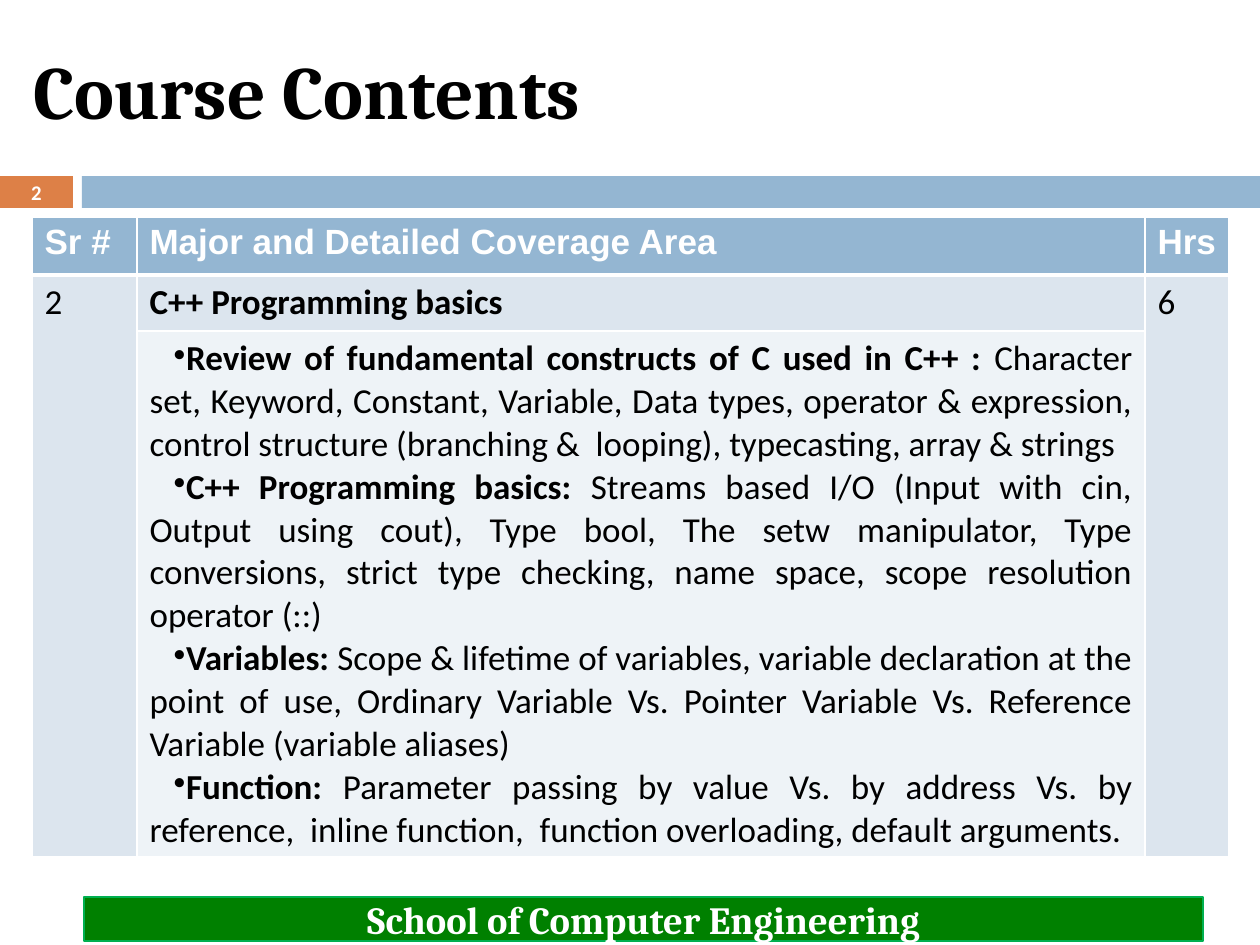
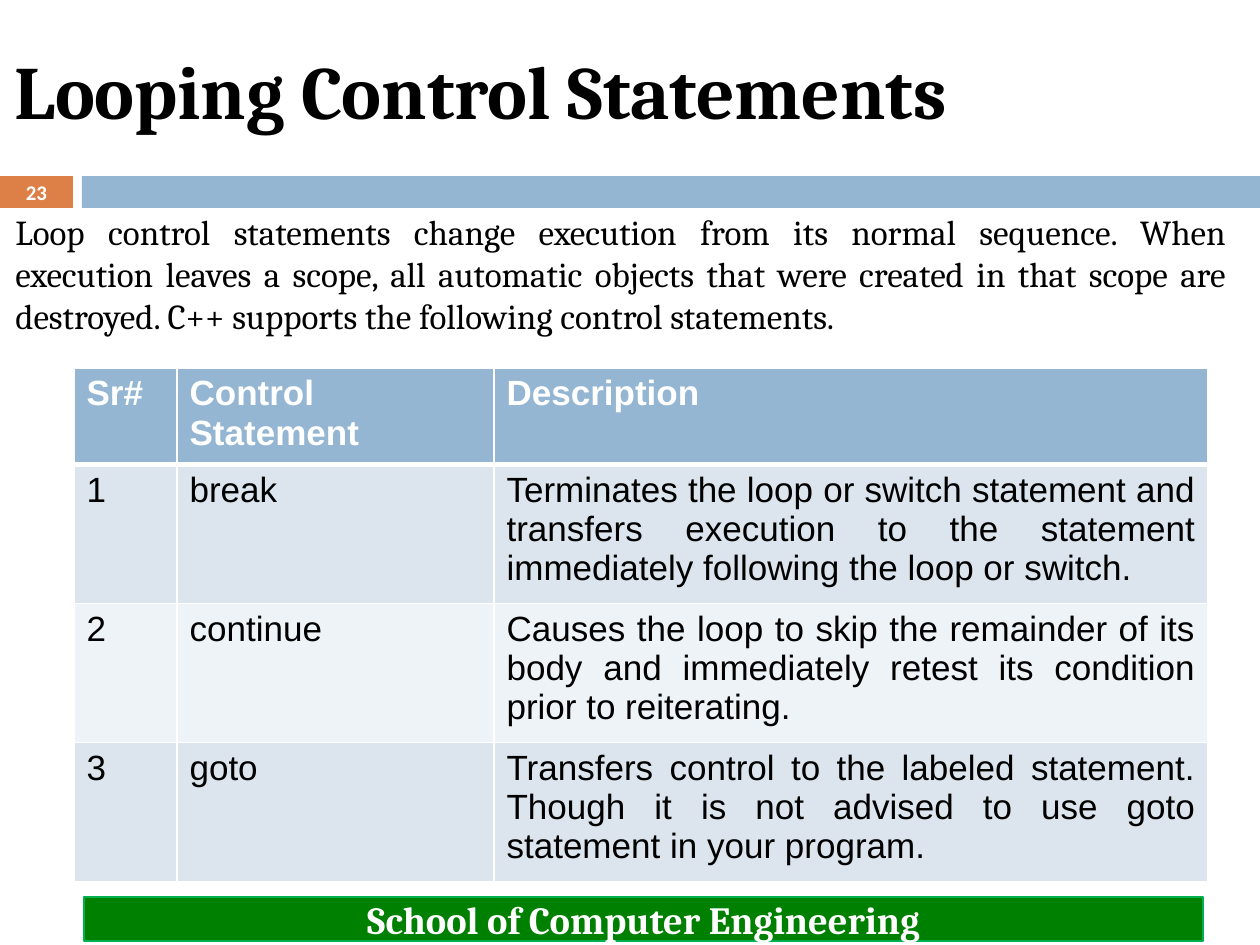
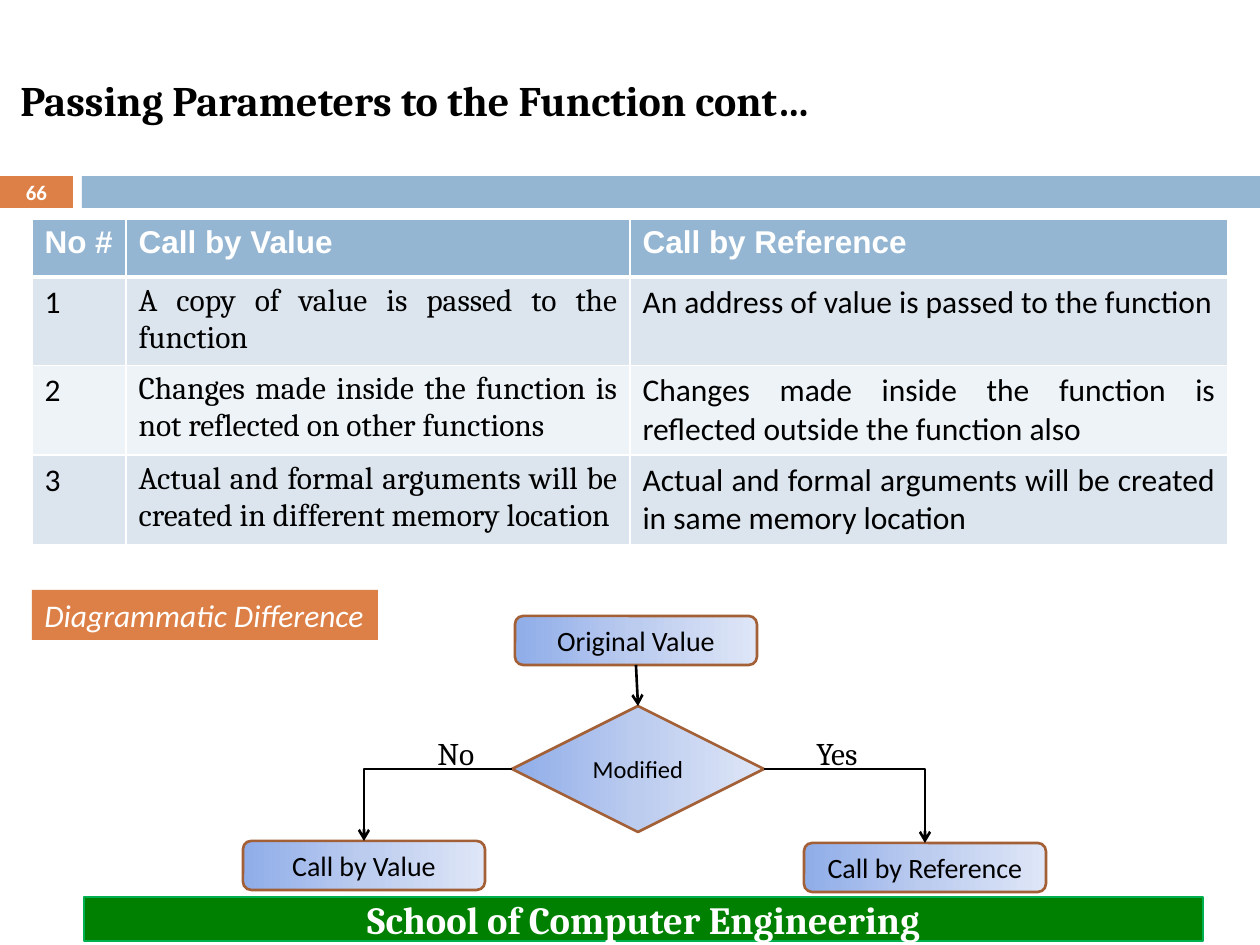
from lxml.etree import SubElement
from pptx import Presentation
from pptx.dml.color import RGBColor
from pptx.enum.shapes import MSO_CONNECTOR, MSO_SHAPE
from pptx.enum.text import MSO_ANCHOR, MSO_AUTO_SIZE, PP_ALIGN
from pptx.oxml.ns import qn
from pptx.util import Emu, Pt

SCALE = 914400 / 126
WIDE, HIGH = 1260, 945
HEX = {
    "black": "000000", "white": "FFFFFF", "blue": "94B6D2",
    "orange": "DD8047", "green": "008000", "edge": "00B050",
    "odd": "DCE5EE", "even": "EEF3F7", "brown": "A35F35",
}
GRADE = [(0, "8FADE9"), (50, "BCCCEF"), (100, "DEE6F7")]
SERIF, SANS, HEAD = "Cambria", "Calibri", "Arial"
LEFT, MID, JUST = PP_ALIGN.LEFT, PP_ALIGN.CENTER, PP_ALIGN.JUSTIFY

TOPICS = [
    ("Review of fundamental constructs of C used in C++ : ",
     "Character set, Keyword, Constant, Variable, Data types, operator & "
     "expression, control structure (branching &  looping), typecasting, "
     "array & strings"),
    ("C++ Programming basics: ",
     "Streams based I/O (Input with cin, Output using cout), Type bool, "
     "The setw manipulator, Type conversions, strict type checking, "
     "name space, scope resolution operator (::)"),
    ("Variables: ",
     "Scope & lifetime of variables, variable declaration at the point of "
     "use, Ordinary Variable Vs. Pointer Variable Vs. Reference Variable "
     "(variable aliases)"),
    ("Function: ",
     "Parameter passing by value Vs. by address Vs. by reference,  inline "
     "function,  function overloading, default arguments. "),
]
LOOPS = [
    ("Sr#", "Control Statement", "Description"),
    ("1", "break", "Terminates the loop or switch statement and transfers "
     "execution to the statement immediately following the loop or switch."),
    ("2", "continue", "Causes the loop to skip the remainder of its body and "
     "immediately retest its condition prior to reiterating."),
    ("3", "goto", "Transfers control to the labeled statement. Though it is "
     "not advised to use goto statement in your program."),
]
CALLS = [
    ("No #", "Call by Value", "Call by Reference"),
    ("1", "A copy of value is passed to the function",
     "An address of value is passed to the function"),
    ("2", "Changes made inside the function is not reflected on other functions",
     "Changes made inside the function is reflected outside the function also"),
    ("3", "Actual and formal arguments will be created in different memory location",
     "Actual and formal arguments will be created in same memory location"),
]


def px(num):
    return Emu(round(num * SCALE))


def rgb(name):
    return RGBColor.from_string(HEX[name])


def put(para, text, size, face, color="black", bold=False, slant=False):
    run = para.add_run()
    run.text = text
    font = run.font
    font.size, font.name = Pt(size), face
    font.bold, font.italic = bold, slant
    font.color.rgb = rgb(color)


def label(shape, text, size, face, color="black", bold=False, slant=False,
          align=LEFT, anchor=MSO_ANCHOR.MIDDLE, wrap=True):
    frame = shape.text_frame
    frame.word_wrap = wrap
    frame.vertical_anchor = anchor
    para = frame.paragraphs[0]
    para.alignment = align
    put(para, text, size, face, color, bold, slant)
    return frame


def note(slide, box, text, size, face, **style):
    shape = slide.shapes.add_textbox(*map(px, box))
    return label(shape, text, size, face, **style)


def block(slide, box, fill=None, line=None, width=0.75, kind=MSO_SHAPE.RECTANGLE):
    shape = slide.shapes.add_shape(kind, *map(px, box))
    shape.shadow.inherit = False
    if fill:
        shape.fill.solid()
        shape.fill.fore_color.rgb = rgb(fill)
    if line:
        shape.line.color.rgb = rgb(line)
        shape.line.width = Pt(width)
    else:
        shape.line.fill.background()
    return shape


# Bands, title, slide number and footer shared by all slides
def base(deck, number, title, box, size=43):
    slide = deck.slides.add_slide(deck.slide_layouts[6])
    block(slide, (0, 176, 73, 32), "orange")
    block(slide, (82, 176, WIDE - 82, 32), "blue")
    note(slide, box, title, size, SERIF, bold=True)
    note(slide, (0, 175, 73, 34), number, 11.9, SANS,
         color="white", bold=True, align=MID)
    foot = block(slide, (84, 897, 1119, 44), "green", "edge")
    label(foot, "School of Computer Engineering", 22, SERIF,
          color="white", bold=True, align=MID)
    return slide


def edge(cell, row):
    props = cell._tc.get_or_add_tcPr()
    heavy = {0: "lnB", 1: "lnT"}.get(row)
    for side in ("lnL", "lnR", "lnT", "lnB"):
        width = Pt(3 if side == heavy else 1)
        line = SubElement(props, qn("a:" + side), w=str(width))
        fill = SubElement(line, qn("a:solidFill"))
        SubElement(fill, qn("a:srgbClr"), val=HEX["white"])


# Banded table: a face and an alignment for each body column
def grid(slide, spot, cols, rows, data, size, faces, aligns):
    box = (*spot, sum(cols), sum(rows))
    table = slide.shapes.add_table(len(rows), len(cols), *map(px, box)).table
    table.first_row = table.horz_banding = False
    for col, width in zip(table.columns, cols):
        col.width = px(width)
    for row, height in zip(table.rows, rows):
        row.height = px(height)
    for i, texts in enumerate(data):
        for j, text in enumerate(texts):
            cell = table.cell(i, j)
            edge(cell, i)
            cell.fill.solid()
            tone = "blue" if i == 0 else "odd" if i % 2 else "even"
            cell.fill.fore_color.rgb = rgb(tone)
            para = cell.text_frame.paragraphs[0]
            if i == 0:
                put(para, text, size, HEAD, "white", True)
            elif text:
                para.alignment = aligns[j]
                put(para, text, size, faces[j])
    return table


# Bulleted topics inside one cell
def topics(cell, items):
    frame = cell.text_frame
    for i, (head, body) in enumerate(items):
        para = frame.add_paragraph() if i else frame.paragraphs[0]
        props = para._p.get_or_add_pPr()
        props.set("marL", "0")
        props.set("indent", str(px(24)))
        SubElement(props, qn("a:buChar"), char="•")
        para.alignment = JUST
        put(para, head, 20, SANS, bold=True)
        put(para, body, 20, SANS)


def node(slide, box, text, size=16, kind=MSO_SHAPE.ROUNDED_RECTANGLE):
    shape = block(slide, box, line="brown", width=1.5, kind=kind)
    shape.fill.gradient()
    shape.fill.gradient_angle = 0
    stops = shape.element.spPr.find(".//" + qn("a:gsLst"))
    stops.clear()
    for place, color in GRADE:
        stop = SubElement(stops, qn("a:gs"), pos=str(place * 1000))
        SubElement(stop, qn("a:srgbClr"), val=color)
    label(shape, text, size, SANS, align=MID)
    return shape


def link(slide, start, out, end, bent=True):
    kind = MSO_CONNECTOR.ELBOW if bent else MSO_CONNECTOR.STRAIGHT
    line = slide.shapes.add_connector(kind, 0, 0, 0, 0)
    line.begin_connect(start, out)
    line.end_connect(end, 0)
    line.line.color.rgb = rgb("black")
    line.line.width = Pt(1.5)
    props = line.element.spPr
    if bent:
        props.find(qn("a:prstGeom")).set("prst", "bentConnector2")
    SubElement(props.find(qn("a:ln")), qn("a:tailEnd"), type="arrow")
    SubElement(props, qn("a:effectLst"))


# Decision diagram, placed from its top left corner
def flow(slide, left, top):
    wide, high = 242, 49
    first = node(slide, (left + 272, top, wide, high), "Original Value")
    test = node(slide, (left + 269, top + 90, 252, 126), "Modified", 14,
                MSO_SHAPE.DIAMOND)
    ref = node(slide, (left + 561, top + 227, wide, high), "Call by Reference")
    value = node(slide, (left, top + 225, wide, high), "Call by Value")
    link(slide, first, 2, test, bent=False)
    link(slide, test, 3, ref)
    link(slide, test, 1, value)
    for text, shift, width in (("Yes", 561, 69), ("No", 182, 64)):
        note(slide, (left + shift, top + 112, width, 50), text, 18, SERIF,
             anchor=MSO_ANCHOR.TOP, wrap=False)


def course(deck):
    slide = base(deck, "2", "Course Contents", (21, 21, 1124, 136))
    data = [("Sr #", "Major and Detailed Coverage Area", "Hrs"),
            ("2", "", "6"), ("", "", "")]
    table = grid(slide, (32, 217), (105, 1008, 84), (58, 56, 526), data, 20,
                 [SANS] * 3, [LEFT] * 3)
    put(table.cell(1, 1).text_frame.paragraphs[0],
        "C++ Programming basics", 20, SANS, bold=True)
    topics(table.cell(2, 1), TOPICS)
    for col in (0, 2):
        table.cell(1, col).merge(table.cell(2, col))


def loops(deck):
    slide = base(deck, "23", "Looping Control Statements", (2, 21, 1218, 136))
    note(slide, (3, 204, 1236, 140),
         "Loop control statements change execution from its normal sequence. "
         "When execution leaves a scope, all automatic objects that were "
         "created in that scope are destroyed. C++ supports the following "
         "control statements.", 20, SERIF, align=JUST, anchor=MSO_ANCHOR.TOP)
    grid(slide, (74, 368), (103, 317, 714), (96, 138, 139, 139), LOOPS, 20,
         [HEAD] * 3, [LEFT, LEFT, JUST])


def calls(deck):
    slide = base(deck, "66", "Passing Parameters to the Function cont…",
                 (8, 32, 1124, 136), 24)
    grid(slide, (32, 219), (94, 504, 598), (58, 85, 90, 90), CALLS, 18,
         [SANS, SERIF, SANS], [LEFT, JUST, JUST])
    tag = block(slide, (32, 590, 346, 50), "orange")
    frame = label(tag, "Diagrammatic Difference", 18, SANS, color="white",
                  slant=True, anchor=MSO_ANCHOR.TOP)
    frame.auto_size = MSO_AUTO_SIZE.SHAPE_TO_FIT_TEXT
    flow(slide, 243, 616)


def main():
    deck = Presentation()
    deck.slide_width, deck.slide_height = px(WIDE), px(HIGH)
    course(deck)
    loops(deck)
    calls(deck)
    deck.save("out.pptx")


if __name__ == "__main__":
    main()
